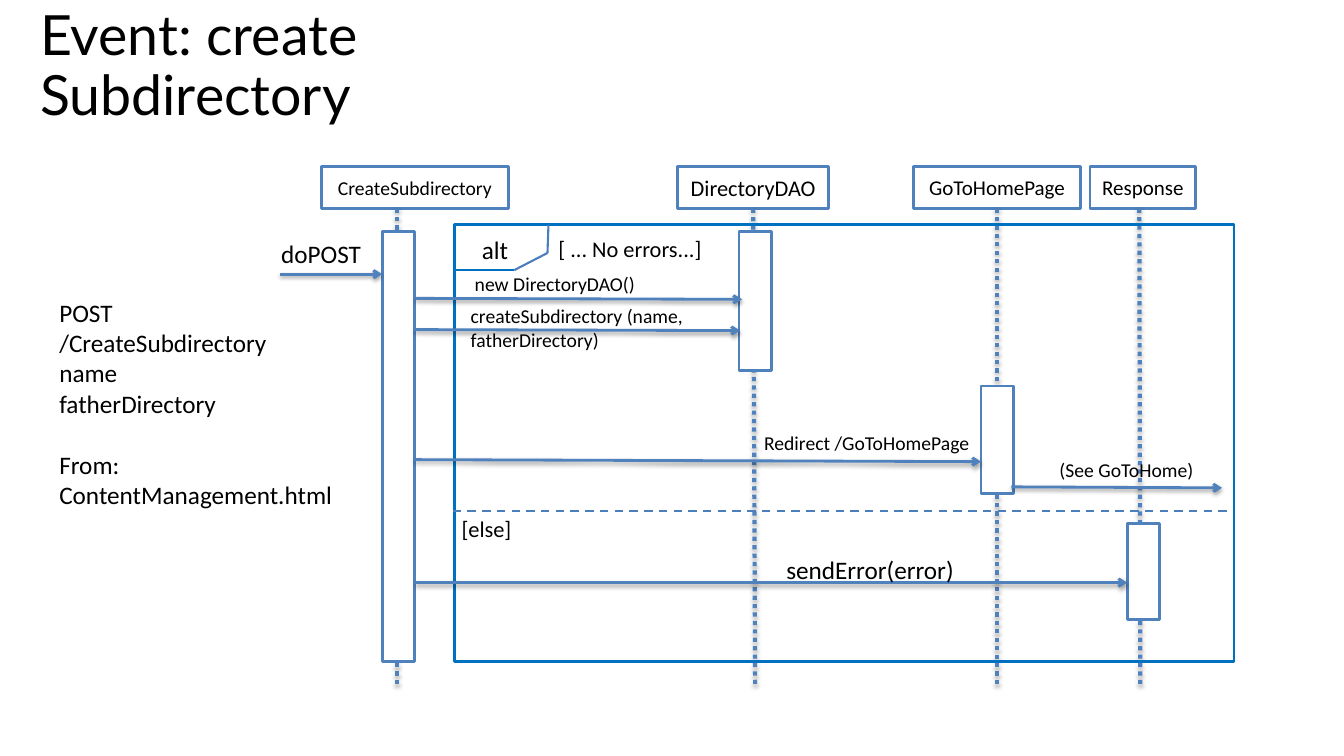
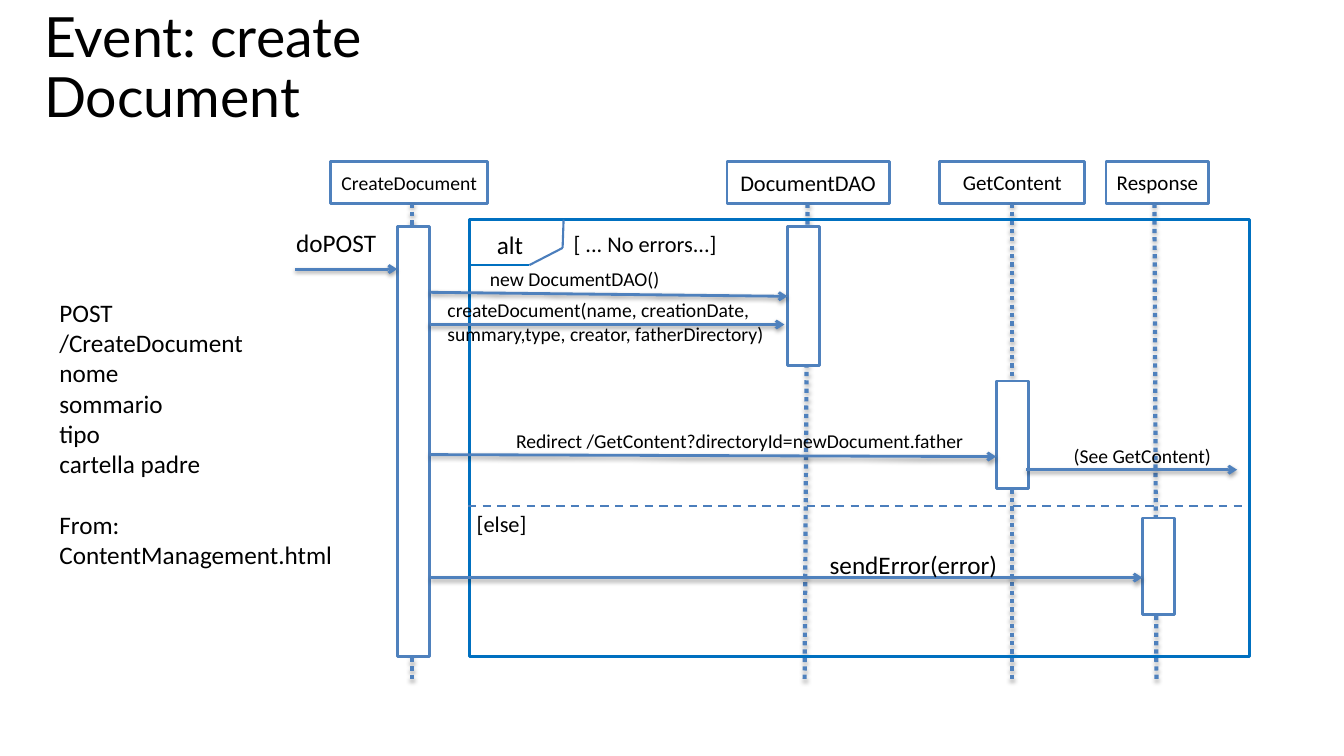
from dataclasses import dataclass

from lxml import etree
from pptx import Presentation
from pptx import util as u
from pptx.dml.color import RGBColor
from pptx.enum import dml, shapes, text
from pptx.oxml import ns

CELL = 0.1
INK, PAPER, BLUE, EDGE, FRAME = "000000", "FFFFFF", "4F81BD", "4B7EBC", "0070C0"
BODY, HEAD = "Calibri", "Lato"
BAR = 3.2


@dataclass
class Lane:
    """One participant: its head box, its lifeline and its bar, in cells."""
    name: str
    left: float
    wide: float
    size: float
    line: tuple
    bar: tuple


@dataclass
class Case:
    """One event; x and y are the corner that the diagram hangs from."""
    title: str
    spot: tuple
    x: float
    y: float
    lanes: list
    calls: list
    labels: list
    note: list
    wide: float


def cells(*nums):
    """Turn grid cells into lengths."""
    return [u.Inches(n * CELL) for n in nums]


def rgb(code):
    """Turn a hex string into a colour."""
    return RGBColor.from_string(code)


def add_run(para, words, size, font=BODY):
    """Add one run to a paragraph."""
    run = para.add_run()
    run.text = words
    run.font.size, run.font.name = u.Pt(size), font
    run.font.color.rgb = rgb(INK)


def label(slide, words, x, y, wide, size, high=4):
    """Add a text box with one run and return its frame."""
    frame = slide.shapes.add_textbox(*cells(x, y, wide, high)).text_frame
    frame.word_wrap = True
    add_run(frame.paragraphs[0], words, size)
    return frame


def title(slide, words, spot):
    """Add the slide title."""
    frame = slide.shapes.add_textbox(*cells(*spot)).text_frame
    frame.word_wrap = True
    frame.vertical_anchor = text.MSO_ANCHOR.MIDDLE
    para = frame.paragraphs[0]
    para.line_spacing = 0.9
    add_run(para, words, 39.6, HEAD)


def note(slide, lines, wide):
    """Add the request note, with a gap above its From line."""
    frame = label(slide, "POST", 4.9, 29, wide, 18, 22)
    para = frame.paragraphs[0]
    para.add_line_break()
    add_run(para, lines[0], 18)
    for line in lines[1:]:
        para = frame.add_paragraph()
        if line.startswith("From:"):
            para.space_before = u.Pt(22)
        add_run(para, line, 18)


def box(slide, x, y, wide, high, line=BLUE, fill=PAPER):
    """Add an outlined rectangle, hollow when it has no fill."""
    rect = slide.shapes.add_shape(shapes.MSO_SHAPE.RECTANGLE, *cells(x, y, wide, high))
    rect.shadow.inherit = False
    if fill:
        rect.fill.solid()
        rect.fill.fore_color.rgb = rgb(fill)
    else:
        rect.fill.background()
    rect.line.color.rgb = rgb(line)
    rect.line.width = u.Pt(2)
    return rect


def rule(slide, x1, y1, x2, y2, color=EDGE, width=1.5, dash=None):
    """Add a plain line without a shadow."""
    line = slide.shapes.add_connector(shapes.MSO_CONNECTOR.STRAIGHT, *cells(x1, y1, x2, y2))
    line.line.color.rgb = rgb(color)
    line.line.width = u.Pt(width)
    if dash:
        line.line.dash_style = dash
    etree.SubElement(line._element.spPr, ns.qn("a:effectLst"))
    return line


def shade(line, alpha, dist):
    """Give a line a soft shadow below it."""
    glow = line._element.spPr.find(ns.qn("a:effectLst"))
    cast = etree.SubElement(glow, ns.qn("a:outerShdw"), blurRad=str(u.Pt(3.1)),
                            dist=str(u.Pt(dist)), dir="5400000", rotWithShape="0")
    tint = etree.SubElement(cast, ns.qn("a:srgbClr"), val=INK)
    etree.SubElement(tint, ns.qn("a:alpha"), val=str(alpha * 1000))


def arrow(slide, *ends):
    """Add a call arrow."""
    line = rule(slide, *ends, color=BLUE, width=2)
    etree.SubElement(line.line._get_or_add_ln(), ns.qn("a:tailEnd"), type="arrow")
    shade(line, 38, 1.6)


def lane(slide, part, y):
    """Add a participant's head, lifeline and bar."""
    head = box(slide, part.left, y, part.wide, 4.2)
    frame = head.text_frame
    frame.margin_left = frame.margin_right = 0
    frame.vertical_anchor = text.MSO_ANCHOR.MIDDLE
    frame.paragraphs[0].alignment = text.PP_ALIGN.CENTER
    add_run(frame.paragraphs[0], part.name, part.size)
    top, end = part.line
    shade(rule(slide, top, y + 4.2, end, y + 51.7, BLUE, 3,
               dml.MSO_LINE.ROUND_DOT), 35, 1.8)
    left, drop, high = part.bar
    box(slide, left, y + drop, BAR, high)


def alt(slide, x, y):
    """Add the alternative frame with its tab and divider."""
    box(slide, x + 7.2, y + 5.8, 77.3, 43.3, FRAME, None)
    rule(slide, x + 7, y + 34.2, x + 84.4, y + 34.2, dash=dml.MSO_LINE.DASH)
    tab = [(7.3, 10.3), (13.1, 10.3), (16.4, 8.6), (16.5, 5.8)]
    for (x1, y1), (x2, y2), color in zip(tab, tab[1:], (FRAME, EDGE, EDGE)):
        rule(slide, x + x1, y + y1, x + x2, y + y2, color)


def draw(deck, case):
    """Build the slide of one event."""
    slide = deck.slides.add_slide(deck.slide_layouts[6])
    x, y = case.x, case.y
    title(slide, case.title, case.spot)
    for part in case.lanes:
        lane(slide, part, y)
    alt(slide, x, y)
    calls = [(-10.1, 10.7, 0, 10.7), (3.2, 29.1, 59.4, 29.3), (3.3, 41.3, 73.9, 41.3)]
    for x1, y1, x2, y2 in calls + case.calls:
        arrow(slide, x + x1, y + y1, x + x2, y + y2)
    tags = [("alt", 8.9, 6.3, 5.5, 18), ("[ ... No errors...]", 16.5, 6.3, 16.4, 16),
            ("[else]", 6.9, 34.1, 7, 16)]
    for words, left, top, wide, size in tags + case.labels:
        label(slide, words, x + left, y + top, wide, size)
    note(slide, case.note, case.wide)


def cases():
    """Return the two events."""
    first = Case(
        "Event: create Subdirectory", (3, 4.2, 63.6, 5), 37.9, 16.5,
        [Lane("CreateSubdirectory", 31.9, 18.5, 14, (39.4, 39.4), (37.9, 6.5, 42.6)),
         Lane("DirectoryDAO", 67.2, 15, 16, (74.7, 74.9), (73.3, 6.5, 13.8)),
         Lane("GoToHomePage", 90.6, 16.6, 15, (98.9, 98.9), (97.3, 21.8, 10.7)),
         Lane("Response", 108.1, 10.5, 15, (113, 113.1), (111.8, 35.4, 9.6))],
        [(3.3, 13.1, 35.7, 13.2), (3.2, 16.2, 35.5, 16.3), (62.4, 31.8, 83.3, 31.9)],
        [("doPOST", -11, 6.7, 10.6, 18), ("new DirectoryDAO()", 8.2, 10, 24.5, 14),
         ("createSubdirectory (name, fatherDirectory)", 7.8, 13.2, 24.5, 14),
         ("Redirect /GoToHomePage", 36.9, 25.8, 23.2, 14),
         ("(See GoToHome)", 66.2, 28.4, 16.3, 14),
         ("sendError(error)", 39.1, 38, 18.8, 18)],
        ["/CreateSubdirectory", "name", "fatherDirectory",
         "From: ContentManagement.html"], 29.3)
    second = Case(
        "Event: create Document", (3.4, 4, 58.2, 5.8), 39.4, 16,
        [Lane("CreateDocument", 32.8, 15.6, 14, (40.9, 40.9), (39.4, 6.5, 42.6)),
         Lane("DocumentDAO", 72.1, 16.1, 16, (80.1, 79.8), (78.1, 6.5, 13.8)),
         Lane("GetContent", 93.2, 14.4, 15, (100.4, 100.4), (98.8, 21.8, 10.7)),
         Lane("Response", 109.7, 10.2, 15, (114.5, 114.7), (113.3, 35.4, 9.6))],
        [(3.3, 13, 38.7, 13.4), (3.2, 16.2, 38.4, 16.2), (62.4, 30.6, 83.3, 30.6)],
        [("doPOST", -11, 6.1, 10.6, 18), ("new DocumentDAO()", 8.2, 10, 24.5, 14),
         ("createDocument(name, creationDate, summary,type, creator, fatherDirectory)",
          4, 13.1, 34, 14),
         ("Redirect /GetContent?directoryId=newDocument.father", 10.8, 26.1, 47.2, 14),
         ("(See GetContent)", 66.1, 27.6, 16.3, 14),
         ("sendError(error)", 41.9, 38, 18.8, 18)],
        ["/CreateDocument", "nome", "sommario", "tipo", "cartella padre",
         "From:", "ContentManagement.html"], 30.2)
    return first, second


def main():
    """Build and save the deck."""
    deck = Presentation()
    deck.slide_width, deck.slide_height = u.Inches(13.33), u.Inches(7.5)
    for case in cases():
        draw(deck, case)
    deck.save("out.pptx")


if __name__ == "__main__":
    main()
